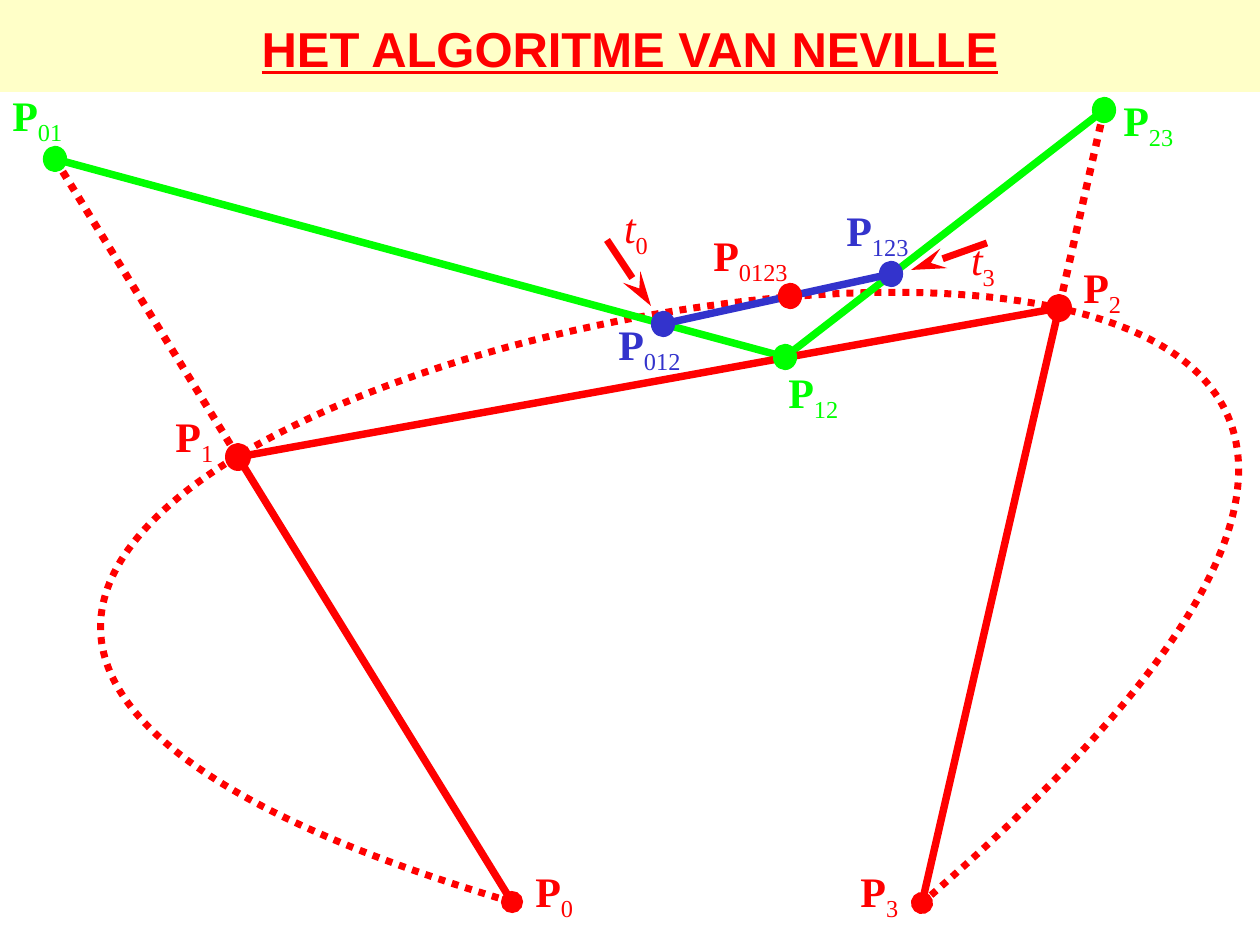
"""Build the slide on Neville's algorithm: control points, line segments and the curve."""
from lxml.etree import SubElement
from pptx import Presentation
from pptx.dml.color import RGBColor
from pptx.enum.dml import MSO_LINE
from pptx.enum.shapes import MSO_CONNECTOR, MSO_SHAPE
from pptx.enum.text import MSO_ANCHOR, PP_ALIGN
from pptx.oxml.ns import qn
from pptx.util import Emu, Pt

RED = RGBColor(0xFF, 0x00, 0x00)
GREEN = RGBColor(0x00, 0xFF, 0x00)
BLUE = RGBColor(0x33, 0x33, 0xCC)
CREAM = RGBColor(0xFF, 0xFF, 0xC8)
PX = 914400 / 126


def add_text(s, box, text, sub="", size=24, font="Times New Roman", color=RED, bold=False,
             italic=False, underline=False, align=PP_ALIGN.LEFT, anchor=MSO_ANCHOR.TOP, wrap=True):
    tf = s.shapes.add_textbox(*(Emu(round(v * PX)) for v in box)).text_frame
    tf.word_wrap = wrap
    tf.vertical_anchor = anchor
    p = tf.paragraphs[0]
    p.alignment = align
    for part, is_sub in ((text, False), (sub, True)):
        if not part:
            continue
        r = p.add_run()
        r.text = part
        r.font.name = font
        r.font.size = Pt(size)
        r.font.color.rgb = color
        r.font.bold = bold and not is_sub
        r.font.italic = italic and not is_sub
        r.font.underline = underline
        if is_sub:
            r.font._element.set("baseline", "-25000")


def add_line(s, start, end, color, width=4.25, dash=None, end_mark=None, mark_len="med"):
    c = s.shapes.add_connector(MSO_CONNECTOR.STRAIGHT, *(Emu(round(v * PX)) for v in start + end))
    c.line.color.rgb = color
    c.line.width = Pt(width)
    if dash:
        c.line.dash_style = dash
    if end_mark:
        SubElement(c.line._get_or_add_ln(), qn("a:tailEnd"), type=end_mark, w="med", len=mark_len)
    SubElement(c._element.spPr, qn("a:effectLst"))


prs = Presentation()
prs.slide_width = Emu(round(1260 * PX))
prs.slide_height = Emu(round(945 * PX))
s = prs.slides.add_slide(prs.slide_layouts[6])

band = s.shapes.add_shape(MSO_SHAPE.RECTANGLE, 0, 0, prs.slide_width, Emu(round(92 * PX)))
band.shadow.inherit = False
band.fill.solid()
band.fill.fore_color.rgb = CREAM
band.line.fill.background()
add_text(s, (0, 0, 1260, 95), "HET ALGORITME VAN NEVILLE", size=28, font="Arial", bold=True,
         underline=True, align=PP_ALIGN.CENTER, anchor=MSO_ANCHOR.MIDDLE)

points = {
    "0": (512, 902), "1": (238, 457), "2": (1059, 308), "3": (922, 903),
    "01": (55, 159), "12": (785, 357), "23": (1104, 110),
    "012": (663, 324), "123": (891, 274), "0123": (790, 296),
}

builder = s.shapes.build_freeform(*points["0"], scale=PX)
builder.add_line_segments([(-995, 457), (2221, -213), points["3"]], close=False)
curve = builder.convert_to_shape()
curve.shadow.inherit = False
curve.fill.background()
curve.line.color.rgb = RED
curve.line.width = Pt(4)
curve.line.dash_style = MSO_LINE.ROUND_DOT
outline = curve._element.find(".//" + qn("a:pathLst"))[0]
bezier = SubElement(outline, qn("a:cubicBezTo"))
for segment in outline.findall(qn("a:lnTo")):
    bezier.append(segment[0])
    outline.remove(segment)

labels = [
    ("3", 848, 859, RED), ("2", 1071, 255, RED), ("1", 163, 404, RED), ("0", 523, 859, RED),
    ("01", 0, 83, GREEN), ("12", 776, 360, GREEN), ("23", 1111, 88, GREEN),
    ("012", 606, 312, BLUE), ("123", 834, 198, BLUE), ("0123", 701, 223, RED),
]
for sub, x, y, color in labels:
    add_text(s, (x, y, 176, 86), "P", sub, color=color, bold=True)

segments = [
    ("12", "01", GREEN, None, None), ("12", "23", GREEN, None, None),
    ("012", "123", BLUE, None, None), ("1", "01", RED, MSO_LINE.ROUND_DOT, None),
    ("1", "0", RED, None, "oval"), ("2", "1", RED, None, None),
    ("23", "2", RED, MSO_LINE.ROUND_DOT, None), ("2", "3", RED, None, "oval"),
]
for start, end, color, dash, mark in segments:
    add_line(s, points[start], points[end], color, dash=dash, end_mark=mark)

dots = [("1", RED, 4), ("2", RED, 4), ("0123", RED, 3), ("01", GREEN, 3), ("12", GREEN, 3),
        ("23", GREEN, 3), ("012", BLUE, 3), ("123", BLUE, 3)]
DOT_W, DOT_H = 19, 21
for name, color, width in dots:
    x, y = points[name]
    box = (x - DOT_W / 2, y - DOT_H / 2, DOT_W, DOT_H)
    sp = s.shapes.add_shape(MSO_SHAPE.OVAL, *(Emu(round(v * PX)) for v in box))
    sp.shadow.inherit = False
    sp.fill.solid()
    sp.fill.fore_color.rgb = color
    sp.line.color.rgb = color
    sp.line.width = Pt(width)

pointers = [("3", (987, 243), (911, 270), (958, 231)), ("0", (607, 240), (651, 306), (611, 199))]
for sub, start, end, corner in pointers:
    add_line(s, start, end, RED, width=4, end_mark="stealth", mark_len="lg")
    add_text(s, corner + (50, 63), "t", sub, italic=True, align=PP_ALIGN.CENTER,
             anchor=MSO_ANCHOR.MIDDLE, wrap=False)

prs.save("out.pptx")
